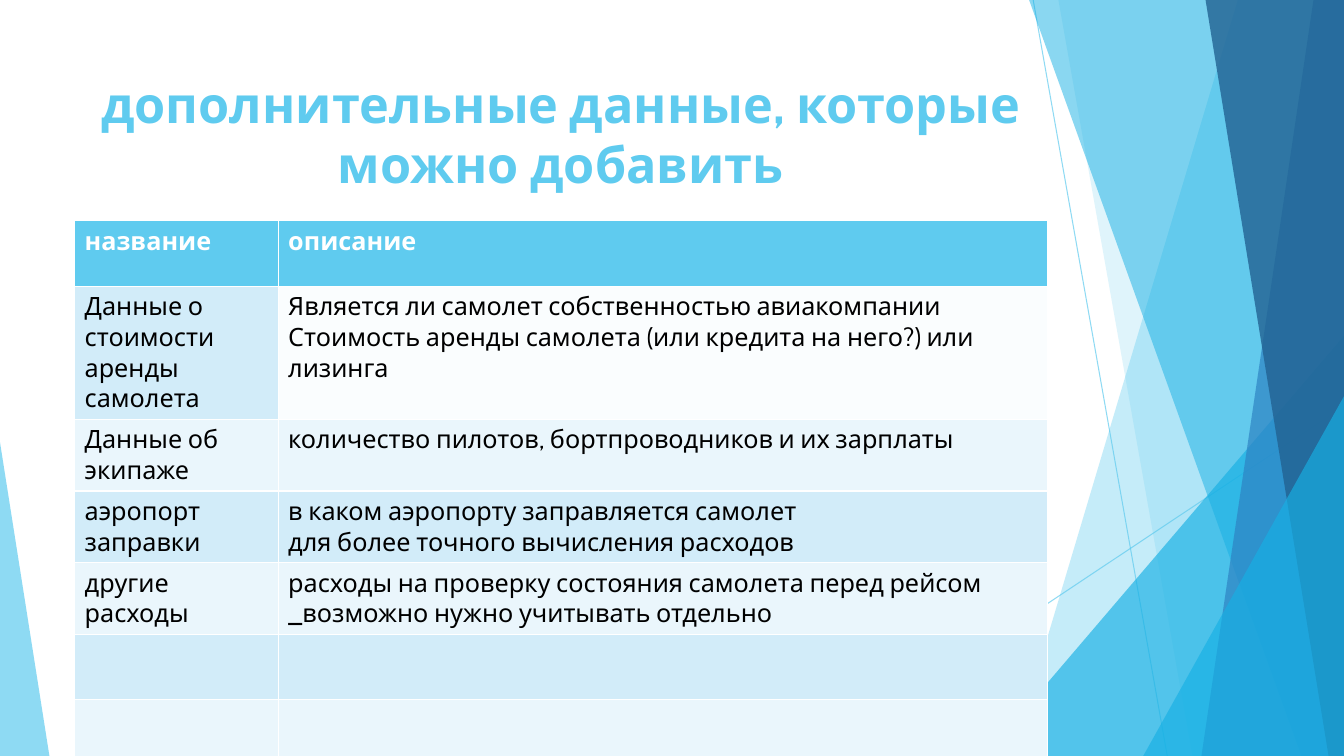
from lxml.etree import SubElement
from pptx import Presentation
from pptx.dml.color import RGBColor
from pptx.enum.shapes import MSO_CONNECTOR, MSO_SHAPE
from pptx.enum.text import MSO_ANCHOR, PP_ALIGN
from pptx.oxml.ns import qn
from pptx.util import Pt

SKY = RGBColor(0x5F, 0xCB, 0xEF)
CYAN = RGBColor(0x17, 0xB0, 0xE4)
BLUE = RGBColor(0x2E, 0x83, 0xC3)
NAVY = RGBColor(0x22, 0x62, 0x92)
BAND_DARK = RGBColor(0xD2, 0xEC, 0xF9)
BAND_LIGHT = RGBColor(0xEA, 0xF6, 0xFC)
WHITE = RGBColor(0xFF, 0xFF, 0xFF)
BLACK = RGBColor(0, 0, 0)

FONT = "Cabin"
WIDTH, HEIGHT = 960, 540
LEFT, CONTENT_WIDTH = 53.3, 694.8
COLUMN_WIDTHS = (145.4, 549.4)
ROW_HEIGHT = 46.8

# Ribbons reach the right edge: top-left x, bottom-left x, colour, opacity
BACK_RIBBONS = [(884.2, 722.9, SKY, 36), (756, 851.8, SKY, 20)]
FRONT_RIBBONS = [(735.1, 929.5, CYAN, 50), (938.2, 858.2, BLUE, 70),
                 (861.1, 949, NAVY, 80)]

ROWS = [
    (["название"], ["описание"]),
    (["Данные о стоимости аренды самолета"],
     ["Является ли самолет собственностью авиакомпании",
      "Стоимость аренды самолета (или кредита на него?) или лизинга"]),
    (["Данные об экипаже"],
     ["количество пилотов, бортпроводников и их зарплаты"]),
    (["аэропорт заправки"],
     ["в каком аэропорту заправляется самолет",
      "для более точного вычисления расходов"]),
    (["другие расходы"],
     ["расходы на проверку состояния самолета перед рейсом "
      "_возможно нужно учитывать отдельно"]),
    ([], []),
    ([], []),
]


def set_opacity(fill_parent, percent):
    color = fill_parent.find(".//" + qn("a:srgbClr"))
    SubElement(color, qn("a:alpha"), val=str(percent * 1000))


def paint(shape, color, opacity):
    shape.shadow.inherit = False
    shape.fill.solid()
    shape.fill.fore_color.rgb = color
    set_opacity(shape.fill._xPr, opacity)
    shape.line.fill.background()


def add_ribbon(slide, top_x, bottom_x, color, opacity):
    outline = slide.shapes.build_freeform(Pt(top_x), 0, scale=1.0)
    corners = [(WIDTH, 0), (WIDTH, HEIGHT), (bottom_x, HEIGHT)]
    outline.add_line_segments([(Pt(x), Pt(y)) for x, y in corners])
    paint(outline.convert_to_shape(), color, opacity)


def add_corner(slide, left, top, width, apex, color, opacity):
    corner = slide.shapes.add_shape(MSO_SHAPE.ISOSCELES_TRIANGLE, Pt(left),
                                    Pt(top), Pt(width), Pt(HEIGHT - top))
    corner.adjustments[0] = apex
    paint(corner, color, opacity)


def add_thin_line(slide, x1, y1, x2, y2):
    thin_line = slide.shapes.add_connector(MSO_CONNECTOR.STRAIGHT, Pt(x1),
                                           Pt(y1), Pt(x2), Pt(y2))
    thin_line.line.width = Pt(0.75)
    thin_line.line.color.rgb = SKY
    properties = thin_line._element.spPr
    set_opacity(properties, 70)
    SubElement(properties, qn("a:effectLst"))


def add_run(paragraph, text, size, color, bold):
    run = paragraph.add_run()
    run.text = text
    run.font.name = FONT
    run.font.size = Pt(size)
    run.font.bold = bold
    run.font.color.rgb = color


def add_decoration(slide):
    add_thin_line(slide, 738, 0, 833.8, HEIGHT)
    add_thin_line(slide, WIDTH, 290.2, 584.6, HEIGHT)
    for ribbon in BACK_RIBBONS:
        add_ribbon(slide, *ribbon)
    add_corner(slide, 703.6, 239.8, 256.4, 1, CYAN, 66)
    for ribbon in FRONT_RIBBONS:
        add_ribbon(slide, *ribbon)
    add_corner(slide, 816.6, 283, 143.4, 1, CYAN, 66)
    add_corner(slide, 0, 316, 35.3, 0, SKY, 70)


def fill_title(slide, text):
    title = slide.shapes.title
    title.left, title.top = Pt(LEFT), Pt(48.2)
    title.width, title.height = Pt(CONTENT_WIDTH), Pt(94.3)
    title.text_frame.word_wrap = True
    title.text_frame.vertical_anchor = MSO_ANCHOR.MIDDLE
    paragraph = title.text_frame.paragraphs[0]
    paragraph.alignment = PP_ALIGN.CENTER
    add_run(paragraph, text, 36, SKY, True)


def fill_cell(cell, lines, background, color, bold):
    cell.fill.solid()
    cell.fill.fore_color.rgb = background
    for index, line in enumerate(lines):
        frame = cell.text_frame
        paragraph = frame.add_paragraph() if index else frame.paragraphs[0]
        add_run(paragraph, line, 18, color, bold)


def add_data_table(slide):
    table = slide.shapes.add_table(
        len(ROWS), len(COLUMN_WIDTHS), Pt(LEFT), Pt(157.7),
        Pt(CONTENT_WIDTH), Pt(ROW_HEIGHT * len(ROWS))).table
    for column, width in zip(table.columns, COLUMN_WIDTHS):
        column.width = Pt(width)
    for r, row in enumerate(ROWS):
        table.rows[r].height = Pt(ROW_HEIGHT)
        header = r == 0
        band = BAND_DARK if r % 2 else BAND_LIGHT
        for c, lines in enumerate(row):
            fill_cell(table.cell(r, c), lines, SKY if header else band,
                      WHITE if header else BLACK, header)
    # The rental description is almost transparent
    set_opacity(table.cell(1, 1)._tc.tcPr, 9)


def main():
    presentation = Presentation()
    presentation.slide_width, presentation.slide_height = Pt(WIDTH), Pt(HEIGHT)
    slide = presentation.slides.add_slide(presentation.slide_layouts[5])
    add_decoration(slide)
    fill_title(slide, "дополнительные данные, которые можно добавить")
    add_data_table(slide)
    presentation.save("out.pptx")


if __name__ == "__main__":
    main()
